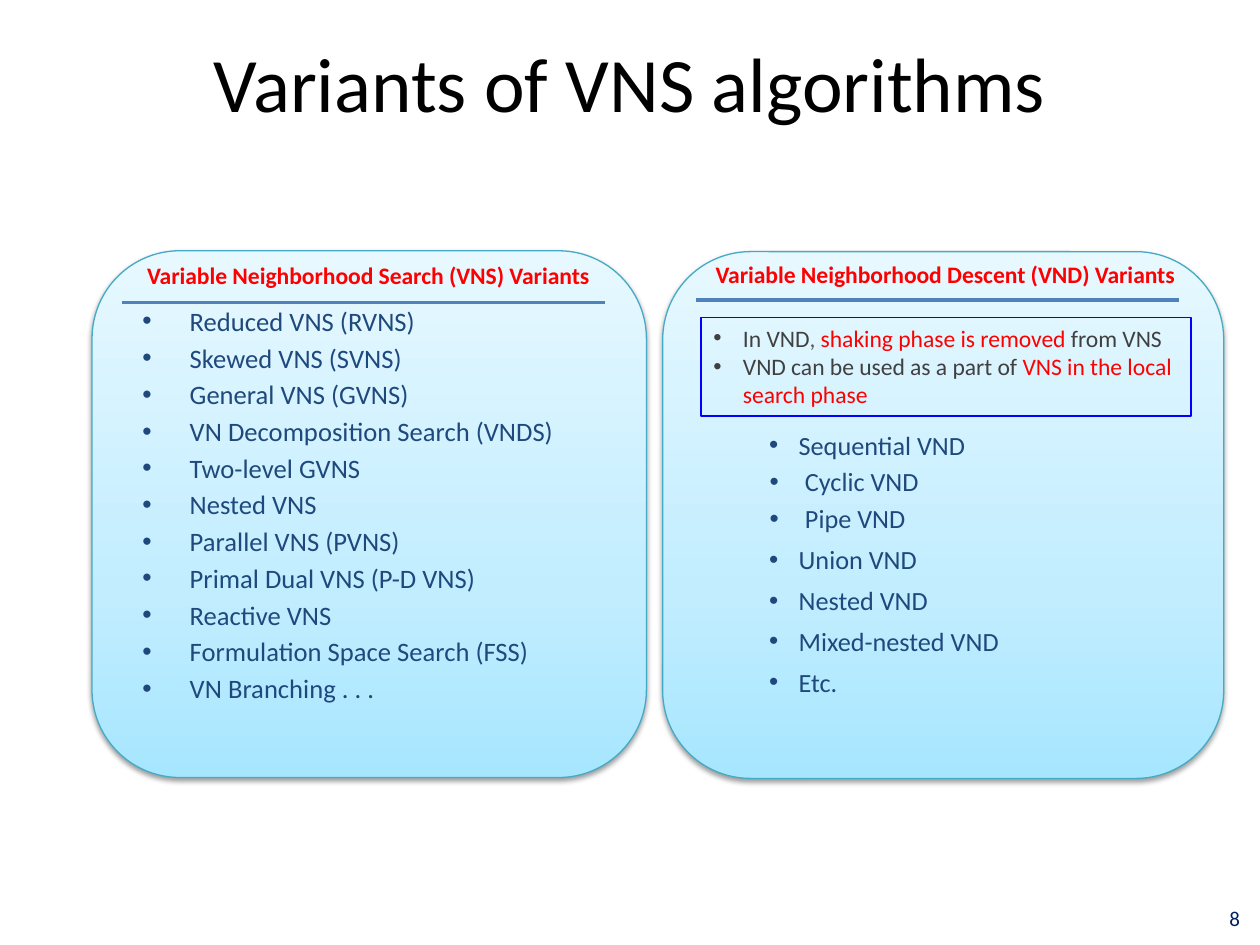
import copy

import pptx
import pptx.dml.color
import pptx.enum.shapes
import pptx.enum.text
import pptx.oxml
import pptx.oxml.ns
import pptx.util

Pt = pptx.util.Pt
qn = pptx.oxml.ns.qn
ALIGN = pptx.enum.text.PP_ALIGN
ANCHOR = pptx.enum.text.MSO_ANCHOR
SHAPE = pptx.enum.shapes.MSO_SHAPE
NAMESPACE = pptx.oxml.ns.nsdecls("a")
RED, NAVY, GREY = "FF0000", "1F497D", "404040"


def color(value):
    return pptx.dml.color.RGBColor.from_string(value)


def write(paragraph, runs, size, bold=False, indent=0, hanging=0, **spacing):
    """Fill a paragraph with (text, colour) runs; a hanging indent adds a bullet."""
    for text, value in runs:
        run = paragraph.add_run()
        run.text = text
        for name, setting in {"name": "Calibri", "size": Pt(size), "bold": bold}.items():
            setattr(run.font, name, setting)
        run.font.color.rgb = color(value)
    for name, setting in spacing.items():
        setattr(paragraph, name, setting)
    if hanging:
        properties = paragraph._p.get_or_add_pPr()
        properties.set("marL", str(Pt(indent)))
        properties.set("indent", str(-Pt(hanging)))
        for tag in (f'<a:buFont {NAMESPACE} typeface="Arial"/>', f'<a:buChar {NAMESPACE} char="•"/>'):
            properties.append(pptx.oxml.parse_xml(tag))


presentation = pptx.Presentation()
presentation.slide_width, presentation.slide_height = Pt(720), Pt(540)
slide = presentation.slides.add_slide(presentation.slide_layouts[1])
shapes = slide.shapes

# Title
title = shapes.title
title.left, title.top, title.width, title.height = Pt(49.7), Pt(0), Pt(620.6), Pt(93.6)
title.text_frame.vertical_anchor = ANCHOR.MIDDLE
write(title.text_frame.paragraphs[0], [("Variants of VNS algorithms", "000000")], 44, alignment=ALIGN.CENTER)

# Panels with heading and rule
panels = [
    {"left": 52.6, "top": 143.3, "width": 316.8, "rule": (69.8, 172.8),
     "heading": "Variable Neighborhood Search (VNS) Variants", "box": (77, 145.4, 270.7)},
    {"left": 378.7, "top": 143.8, "width": 320.6, "rule": (397.6, 171.4),
     "heading": "Variable Neighborhood Descent (VND) Variants", "box": (401.8, 144.7, 280.1)},
]
stops = [(0, "A7E6FF"), (0.35, "C1EDFF"), (1, "E7F8FF")]
shadow = (
    f'<a:effectLst {NAMESPACE}><a:outerShdw blurRad="{Pt(3.1)}" dist="{Pt(1.6)}" dir="5400000" '
    'rotWithShape="0"><a:srgbClr val="000000"><a:alpha val="38000"/></a:srgbClr></a:outerShdw></a:effectLst>'
)
for panel in panels:
    card = shapes.add_shape(SHAPE.ROUNDED_RECTANGLE, Pt(panel["left"]), Pt(panel["top"]),
                            Pt(panel["width"]), Pt(301))
    card.fill.gradient()
    card.fill.gradient_angle = 90
    stop_list = card._element.spPr.find(qn("a:gradFill")).find(qn("a:gsLst"))
    stop_list.append(copy.deepcopy(stop_list[-1]))
    for stop, (position, value) in zip(card.fill.gradient_stops, stops):
        stop.position = position
        stop.color.rgb = color(value)
    card.line.color.rgb = color("46AAC5")
    card.line.width = Pt(0.75)
    card._element.spPr.append(pptx.oxml.parse_xml(shadow))
    shapes._spTree.insert(2, card._element)  # behind the placeholders

    left, top, width = panel["box"]
    heading = shapes.add_textbox(Pt(left), Pt(top), Pt(width), Pt(40.3))
    heading.text_frame.word_wrap = False
    write(heading.text_frame.paragraphs[0], [(panel["heading"], RED)], 13.5, bold=True)

    left, top = panel["rule"]
    rule = shapes.add_connector(pptx.enum.shapes.MSO_CONNECTOR.STRAIGHT,
                                Pt(left), Pt(top), Pt(left + 276), Pt(top))
    rule.line.color.rgb = color("4F81BD")
    rule.line.width = Pt(2)
    rule._element.spPr.append(pptx.oxml.parse_xml(f"<a:effectLst {NAMESPACE}/>"))

# VNS list
body = slide.placeholders[1]
body.left, body.top, body.width, body.height = Pt(74.2), Pt(170.6), Pt(301), Pt(257)
body.text_frame.auto_size = pptx.enum.text.MSO_AUTO_SIZE.NONE
vns_variants = [
    "Reduced VNS (RVNS)", "Skewed VNS (SVNS)", "General VNS (GVNS)", "VN Decomposition Search (VNDS)",
    "Two-level GVNS", "Nested VNS", "Parallel VNS (PVNS)", "Primal Dual VNS (P-D VNS)",
    "Reactive VNS", "Formulation Space Search (FSS)", "VN Branching . . .",
]
for index, variant in enumerate(vns_variants):
    paragraph = body.text_frame.add_paragraph() if index else body.text_frame.paragraphs[0]
    write(paragraph, [(variant, NAVY)], 15.2, indent=27, hanging=27, space_before=Pt(2.75))

# VND note
note = shapes.add_shape(SHAPE.RECTANGLE, Pt(400.6), Pt(181.4), Pt(280), Pt(56.4))
note.shadow.inherit = False
note.fill.background()
note.line.color.rgb = color("0000FF")
note.line.width = Pt(0.75)
note.text_frame.word_wrap = True
note.text_frame.vertical_anchor = ANCHOR.TOP
note_lines = [
    [("In VND", GREY), (", ", "595959"), ("shaking phase is removed ", RED), ("from VNS", GREY)],
    [("VND can be used as a part of ", GREY), ("VNS in the local search phase", RED)],
]
for index, runs in enumerate(note_lines):
    paragraph = note.text_frame.add_paragraph() if index else note.text_frame.paragraphs[0]
    write(paragraph, runs, 13.5, indent=16.9, hanging=16.9, alignment=ALIGN.LEFT)

# VND list
vnd_list = shapes.add_textbox(Pt(405.4), Pt(236.2), Pt(213.8), Pt(193))
vnd_list.text_frame.word_wrap = True
wide = {"indent": 43.9, "hanging": 16.9, "line_spacing": 1.3}
tight = {"indent": 47.5, "hanging": 20.2, "space_before": Pt(3)}
vnd_variants = [
    ("Sequential VND", wide), ("Cyclic VND", tight), ("Pipe VND", tight), ("Union VND", wide),
    ("Nested VND", wide), ("Mixed-nested VND", wide), ("Etc.", wide),
]
for index, (variant, layout) in enumerate(vnd_variants):
    paragraph = vnd_list.text_frame.add_paragraph() if index else vnd_list.text_frame.paragraphs[0]
    write(paragraph, [(variant, NAVY)], 15, **layout)

# Slide number
number = shapes.add_textbox(Pt(691.2), Pt(510), Pt(28.8), Pt(28.8))
number.text_frame.vertical_anchor = ANCHOR.MIDDLE
write(number.text_frame.paragraphs[0], [("8", "002060")], 12, alignment=ALIGN.CENTER)

presentation.save("out.pptx")
